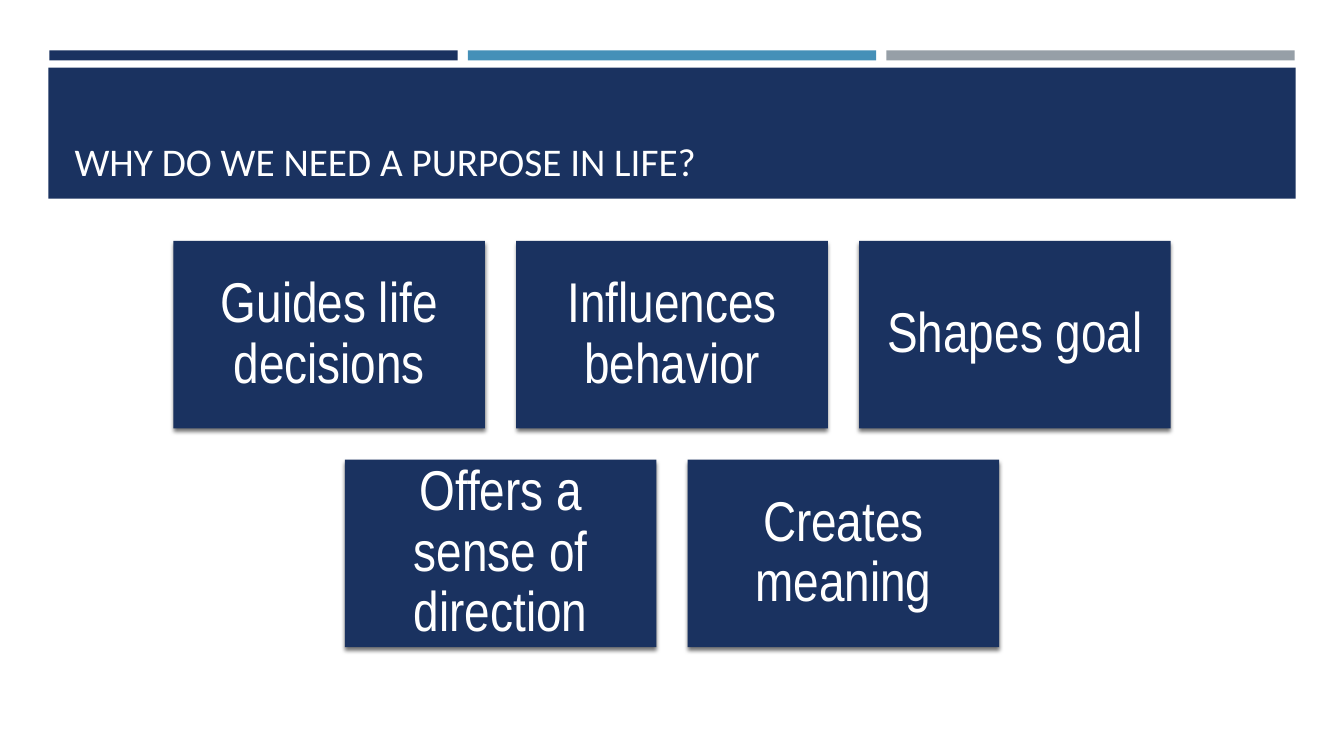
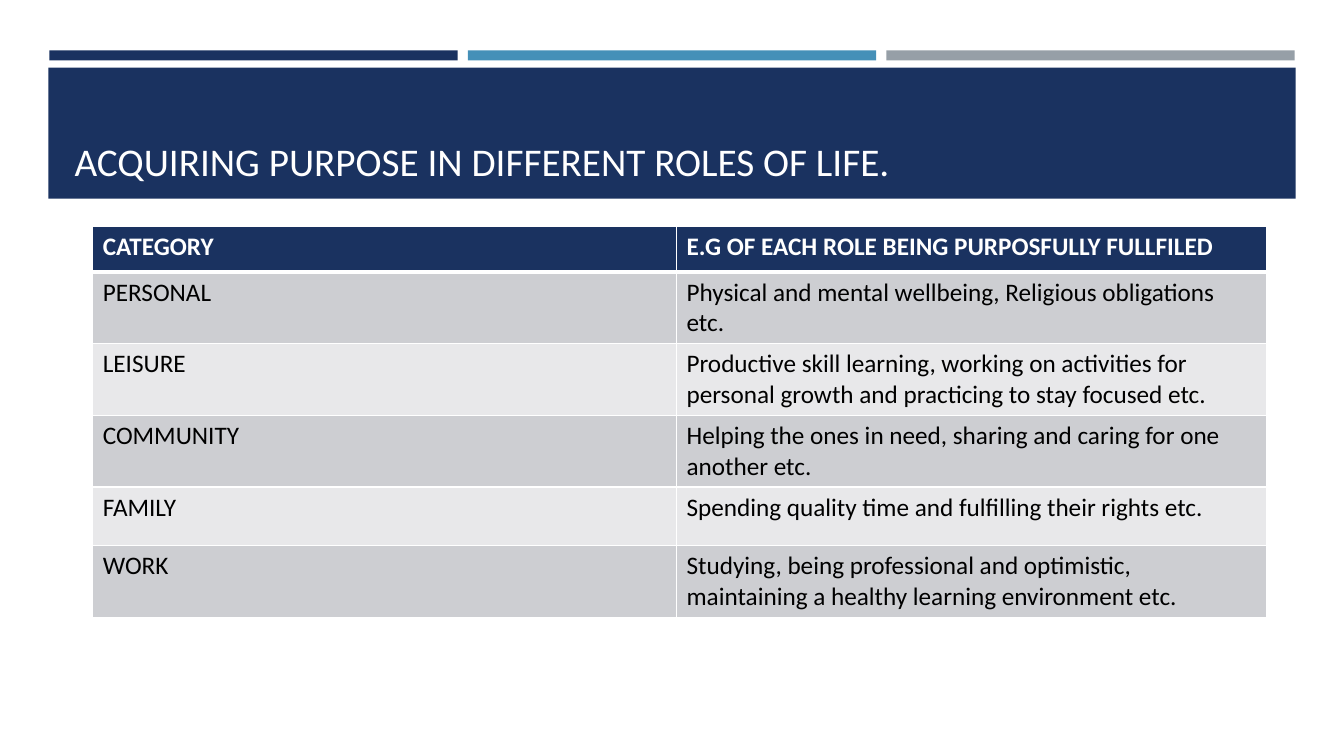
from lxml import etree
from pptx import Presentation
from pptx.dml.color import RGBColor
from pptx.enum.shapes import MSO_SHAPE
from pptx.enum.text import MSO_ANCHOR, MSO_AUTO_SIZE, PP_ALIGN
from pptx.oxml.ns import qn
from pptx.util import Inches, Pt

RECT = MSO_SHAPE.RECTANGLE
LEFT, CENTER = PP_ALIGN.LEFT, PP_ALIGN.CENTER
MIDDLE, BOTTOM = MSO_ANCHOR.MIDDLE, MSO_ANCHOR.BOTTOM
NO_FIT = MSO_AUTO_SIZE.NONE

NAVY = RGBColor(0x1A, 0x32, 0x60)
BLUE = RGBColor(0x45, 0x90, 0xB8)
GRAY = RGBColor(0x96, 0x9F, 0xA7)
DARK = RGBColor(0xCD, 0xCE, 0xD2)
PALE = RGBColor(0xE8, 0xE8, 0xEA)
WHITE = RGBColor(0xFF, 0xFF, 0xFF)
BLACK = RGBColor(0, 0, 0)

WIDE, HIGH = 13.33, 7.5
BAR_LEFT, BAR_TOP, BAR_WIDE, BAR_HIGH, BAR_STEP = 0.49, 0.5, 4.05, 0.1, 4.15
BAND = (0.48, 0.67, 12.37, 1.3)
TITLE = (0.64, 0.77, 12.06, 1.11)
TILE_TOP, TILE_WIDE, TILE_HIGH, TILE_GAP = 2.39, 3.09, 1.86, 0.31
GRID_LEFT, GRID_TOP = 0.92, 2.25
COLS = (5.79, 5.85)
ROWS = (0.45, 0.71, 0.71, 0.71, 0.58, 0.71)

TITLE_FONT = {"name": "Calibri", "size": Pt(28), "color": WHITE}
TILE_FONT = {"name": "Arial Narrow", "size": Pt(40), "color": WHITE}
HEAD_FONT = {"name": "Calibri", "size": Pt(18), "color": WHITE, "bold": True}
CELL_FONT = {**HEAD_FONT, "color": BLACK, "bold": False}
TITLE_FRAME = {"vertical_anchor": BOTTOM, "word_wrap": True, "auto_size": NO_FIT}
SIDES = ("margin_left", "margin_top", "margin_right", "margin_bottom")
TILE_FRAME = {"vertical_anchor": MIDDLE, "word_wrap": True,
              **dict.fromkeys(SIDES, Inches(0.17))}

TILES = (
    ("Guides life decisions", "Influences behavior", "Shapes goal"),
    ("Offers a sense of direction", "Creates meaning"),
)
ROLES = (
    ("CATEGORY", "E.G OF EACH ROLE BEING PURPOSFULLY FULLFILED"),
    ("PERSONAL", "Physical and mental wellbeing, Religious obligations etc."),
    ("LEISURE", "Productive skill learning, working on activities for "
                "personal growth and practicing to stay focused etc."),
    ("COMMUNITY", "Helping the ones in need, sharing and caring for one another etc."),
    ("FAMILY", "Spending quality time and fulfilling their rights etc."),
    ("WORK", "Studying, being professional and optimistic, "
             "maintaining a healthy learning environment etc."),
)


def apply(item, style):
    for key, value in style.items():
        if key == "color":
            item.color.rgb = value
        else:
            setattr(item, key, value)


def write(frame, text, font, align=LEFT, space=None):
    line = frame.paragraphs[0]
    apply(line, {"alignment": align, "line_spacing": space})
    run = line.add_run()
    run.text = text
    apply(run.font, font)


def add_box(slide, place, color):
    box = slide.shapes.add_shape(RECT, *map(Inches, place))
    box.shadow.inherit = False
    box.fill.solid()
    box.fill.fore_color.rgb = color
    box.line.fill.background()
    return box


def add_shade(box):
    effects = box.element.spPr.find(qn("a:effectLst"))
    shade = etree.SubElement(effects, qn("a:outerShdw"), blurRad=str(Pt(3)),
                             dist=str(Pt(2)), dir="5400000", rotWithShape="0")
    tint = etree.SubElement(shade, qn("a:srgbClr"), val=str(BLACK))
    etree.SubElement(tint, qn("a:alpha"), val="55000")


def add_slide(deck, text):
    slide = deck.slides.add_slide(deck.slide_layouts[5])
    for col, color in enumerate((NAVY, BLUE, GRAY)):
        left = BAR_LEFT + col * BAR_STEP
        add_box(slide, (left, BAR_TOP, BAR_WIDE, BAR_HIGH), color)
    add_box(slide, BAND, NAVY)
    title = slide.shapes.title
    slide.shapes.element.append(title.element)
    apply(title, dict(zip(("left", "top", "width", "height"), map(Inches, TITLE))))
    apply(title.text_frame, TITLE_FRAME)
    write(title.text_frame, text, TITLE_FONT)
    return slide


def add_tiles(slide, rows):
    for row, words in enumerate(rows):
        top = TILE_TOP + row * (TILE_HIGH + TILE_GAP)
        step = TILE_WIDE + TILE_GAP
        start = (WIDE - len(words) * step + TILE_GAP) / 2
        for col, text in enumerate(words):
            tile = add_box(slide, (start + col * step, top, TILE_WIDE, TILE_HIGH), NAVY)
            add_shade(tile)
            apply(tile.text_frame, TILE_FRAME)
            write(tile.text_frame, text, TILE_FONT, CENTER, 0.9)


def add_edges(cell, widths):
    props = cell._tc.get_or_add_tcPr()
    for side, width in widths.items():
        edge = etree.SubElement(props, qn("a:ln" + side), w=str(Pt(width)))
        fill = etree.SubElement(edge, qn("a:solidFill"))
        etree.SubElement(fill, qn("a:srgbClr"), val=str(WHITE))


def add_grid(slide, rows):
    place = (GRID_LEFT, GRID_TOP, sum(COLS), sum(ROWS))
    grid = slide.shapes.add_table(len(ROWS), len(COLS), *map(Inches, place)).table
    for col, width in zip(grid.columns, COLS):
        col.width = Inches(width)
    for line, height in zip(grid.rows, ROWS):
        line.height = Inches(height)
    for row, words in enumerate(rows):
        head = row == 0
        color = NAVY if head else (PALE, DARK)[row % 2]
        edges = {"L": 1, "R": 1, "T": 3 if row == 1 else 1, "B": 3 if head else 1}
        for col, text in enumerate(words):
            cell = grid.cell(row, col)
            add_edges(cell, edges)
            cell.fill.solid()
            cell.fill.fore_color.rgb = color
            write(cell.text_frame, text, HEAD_FONT if head else CELL_FONT)


def main():
    deck = Presentation()
    apply(deck, {"slide_width": Inches(WIDE), "slide_height": Inches(HIGH)})
    add_tiles(add_slide(deck, "WHY DO WE NEED A PURPOSE IN LIFE?"), TILES)
    add_grid(add_slide(deck, "ACQUIRING PURPOSE IN DIFFERENT ROLES OF LIFE."), ROLES)
    deck.save("out.pptx")


if __name__ == "__main__":
    main()
